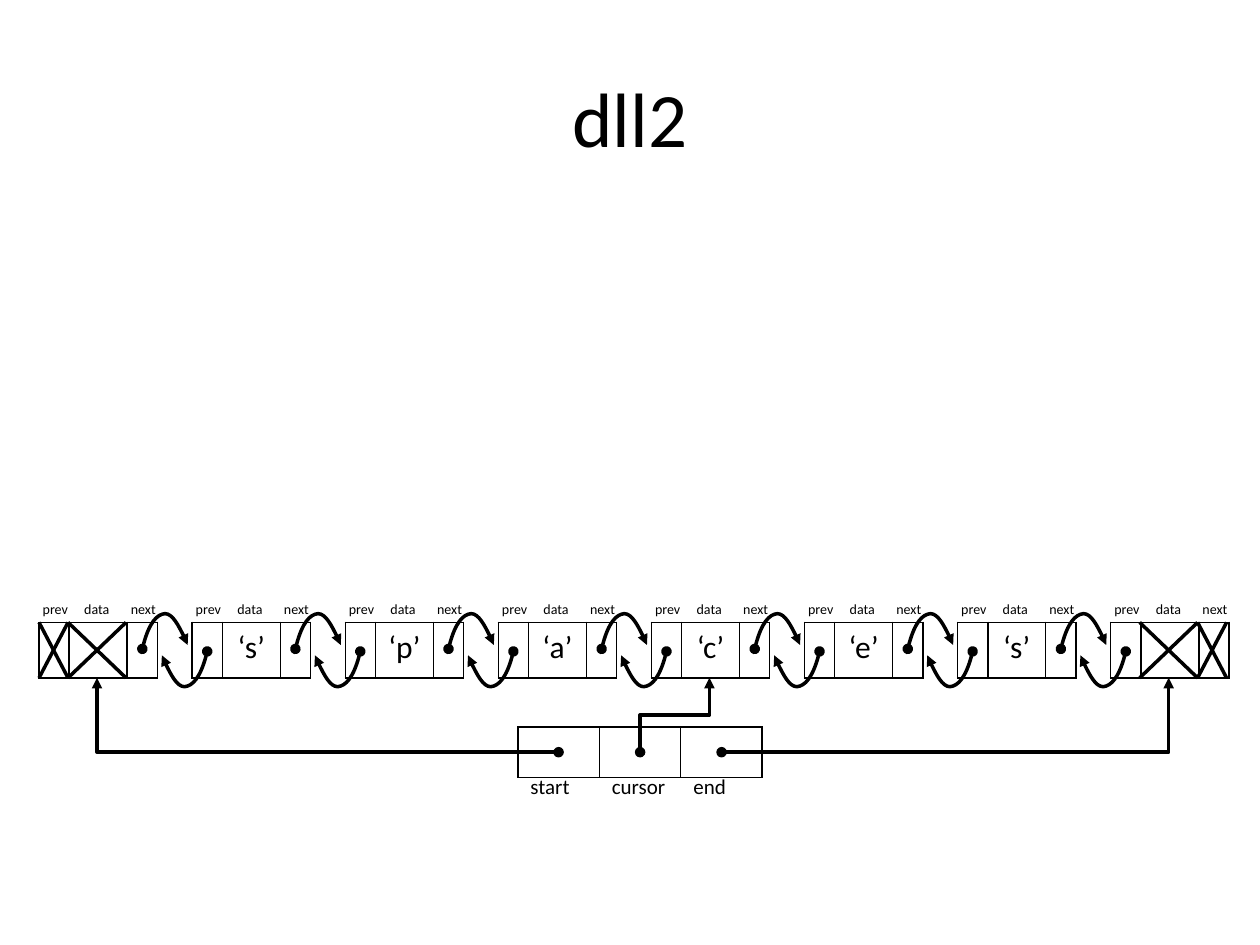
from dataclasses import dataclass

from lxml import etree
from pptx import Presentation
from pptx.dml.color import RGBColor
from pptx.enum.shapes import MSO_CONNECTOR
from pptx.enum.text import MSO_ANCHOR, MSO_AUTO_SIZE, PP_ALIGN
from pptx.oxml import parse_xml
from pptx.oxml.ns import qn
from pptx.util import Inches, Pt

STRAIGHT, ELBOW = MSO_CONNECTOR.STRAIGHT, MSO_CONNECTOR.ELBOW
CENTER, MIDDLE = PP_ALIGN.CENTER, MSO_ANCHOR.MIDDLE
GROW = MSO_AUTO_SIZE.SHAPE_TO_FIT_TEXT

COLORS = {"ink": "000000", "paper": "FFFFFF"}
FONT = "Calibri"
PAGE_WIDTH, PAGE_HEIGHT = 10, 7.5
DRAWING_NS = "http://schemas.openxmlformats.org/drawingml/2006/main"
PLAIN_TABLE = "{2D5ABB26-0587-4C30-8999-92F81FD0307C}"

NODE_VALUES = ["", "‘s’", "‘p’", "‘a’", "‘c’", "‘e’", "‘s’", ""]
NODE_PITCH = 1.215
NODE_COLUMNS = [0.23, 0.46, 0.23]
CROSSED_CELLS = {0: [0, 1], len(NODE_VALUES) - 1: [1, 2]}
FIELD_OFFSETS = {"prev": -0.07, "data": 0.26, "next": 0.63}
POINTER_TARGETS = {"start": 0, "cursor": 4, "end": 7}
# Start point and two cubic segments, as shares of the arc's box
ARC_SHARES = [(0, 1), (0.13, 0.29), (0.32, 0.02), (0.5, 0),
              (0.67, 0), (0.93, 0.64), (1, 0.89)]


@dataclass
class Box:
    left: float
    top: float
    width: float
    height: float

    @property
    def bottom(self):
        return self.top + self.height

    @property
    def center(self):
        return self.left + self.width / 2, self.top + self.height / 2

    def inches(self):
        return [Inches(n) for n in (self.left, self.top, self.width, self.height)]

    def columns(self, widths):
        return [Box(self.left + sum(widths[:i]), self.top, width, self.height)
                for i, width in enumerate(widths)]


def color(name):
    return RGBColor.from_string(COLORS[name])


def write(frame, text, size, align=None):
    para = frame.paragraphs[0]
    if align is not None:
        para.alignment = align
    span = para.add_run()
    span.text = text
    span.font.size = Pt(size)
    span.font.name = FONT
    span.font.color.rgb = color("ink")


def add_text(page, box, text, size, align=None, anchor=None, wrap=True):
    frame = page.shapes.add_textbox(*box.inches()).text_frame
    frame.word_wrap = wrap
    if anchor is not None:
        frame.vertical_anchor = anchor
    if not wrap:
        frame.auto_size = GROW
    write(frame, text, size, align)


def add_drawing(parent, tag, **attributes):
    return etree.SubElement(parent, qn(f"a:{tag}"), **attributes)


def add_cell_borders(cell):
    properties = cell._tc.get_or_add_tcPr()
    for side in ("lnL", "lnR", "lnT", "lnB"):
        edge = add_drawing(properties, side, w=str(Pt(1)))
        fill = add_drawing(edge, "solidFill")
        add_drawing(fill, "srgbClr", val=COLORS["ink"])


def add_row(page, box, widths, texts, size, align=None, boxed=True):
    """One-row table, with or without black borders on white cells."""
    table = page.shapes.add_table(1, len(widths), *box.inches()).table
    table.first_row = table.horz_banding = False
    table._tbl.tblPr.find(qn("a:tableStyleId")).text = PLAIN_TABLE
    table.rows[0].height = Inches(box.height)
    for i, (width, text) in enumerate(zip(widths, texts)):
        table.columns[i].width = Inches(width)
        cell = table.cell(0, i)
        if boxed:
            add_cell_borders(cell)
            cell.fill.solid()
            cell.fill.fore_color.rgb = color("paper")
        else:
            cell.fill.background()
        if text:
            write(cell.text_frame, text, size, align)


def style_line(shape, arrow):
    shape.line.color.rgb = color("ink")
    shape.line.width = Pt(2)
    properties = shape.element.spPr
    if arrow:
        line = properties.find(qn("a:ln"))
        add_drawing(line, "headEnd", type="oval")
        add_drawing(line, "tailEnd", type="triangle")
    add_drawing(properties, "effectLst")


def add_line(page, start, end, kind=STRAIGHT, arrow=False):
    ends = [Inches(n) for n in (*start, *end)]
    line = page.shapes.add_connector(kind, *ends)
    style_line(line, arrow)
    return line


def add_cross(page, box):
    right = box.left + box.width
    add_line(page, (box.left, box.bottom), (right, box.top))
    add_line(page, (right, box.bottom), (box.left, box.top))


def add_arc(page, box, backward=False):
    """Curved arrow over the box, or turned half round when backward."""
    shares = [(1 - x, 1 - y) if backward else (x, y) for x, y in ARC_SHARES]
    points = [(Inches(box.left + x * box.width), Inches(box.top + y * box.height))
              for x, y in shares]
    builder = page.shapes.build_freeform(*points[0])
    builder.add_line_segments(points[1:], close=False)
    arc = builder.convert_to_shape()
    arc.fill.background()
    steps = list(arc.element.iter(qn("a:lnTo")))
    for first in range(0, len(steps), 3):
        curve = parse_xml(f'<a:cubicBezTo xmlns:a="{DRAWING_NS}"/>')
        steps[first].addprevious(curve)
        for step in steps[first:first + 3]:
            curve.append(step[0])
            step.getparent().remove(step)
    style_line(arc, arrow=True)


def add_node(page, box, index):
    add_row(page, box, NODE_COLUMNS, ["", NODE_VALUES[index], ""], 18, CENTER)
    for field, offset in FIELD_OFFSETS.items():
        label = Box(box.left + offset, box.top - 0.22, 0.41, 0.24)
        add_text(page, label, field, 8, wrap=False)
    if index > 0:
        add_arc(page, Box(box.left - 0.24, box.top + 0.23, 0.36, 0.28), backward=True)
    if index < len(NODE_VALUES) - 1:
        add_arc(page, Box(box.left + 0.82, box.top - 0.07, 0.36, 0.28))
    cells = box.columns(NODE_COLUMNS)
    for column in CROSSED_CELLS.get(index, []):
        add_cross(page, cells[column])


def add_corner_arrow(page, start, end):
    """Arrow that runs sideways, then up."""
    arrow = add_line(page, start, end, ELBOW, arrow=True)
    arrow.element.spPr.find(qn("a:prstGeom")).set("prst", "bentConnector2")


def add_step_arrow(page, start, end):
    """Arrow that runs up, sideways, then up: a level step turned a quarter."""
    (x1, y1), (x2, y2) = start, end
    middle_x, middle_y = (x1 + x2) / 2, (y1 + y2) / 2
    half_width, half_height = abs(y2 - y1) / 2, abs(x2 - x1) / 2
    arrow = add_line(page, (middle_x + half_width, middle_y + half_height),
                     (middle_x - half_width, middle_y - half_height), ELBOW, arrow=True)
    arrow.element.spPr.find(qn("a:xfrm")).set("rot", str(90 * 60000))


def add_pointers(page, box, nodes):
    widths = [box.width / 3] * 3
    add_row(page, box, widths, [""] * 3, 18)
    captions = Box(box.left, box.top + 0.33, box.width, box.height)
    add_row(page, captions, widths, list(POINTER_TARGETS), 12, boxed=False)
    for cell, (name, target) in zip(box.columns(widths), POINTER_TARGETS.items()):
        node = nodes[target]
        draw = add_step_arrow if name == "cursor" else add_corner_arrow
        draw(page, cell.center, (node.center[0], node.bottom))


def main():
    deck = Presentation()
    deck.slide_width, deck.slide_height = Inches(PAGE_WIDTH), Inches(PAGE_HEIGHT)
    page = deck.slides.add_slide(deck.slide_layouts[6])
    title = Box(0.05 * PAGE_WIDTH, 0.04 * PAGE_HEIGHT, 0.9 * PAGE_WIDTH, 1.25)
    add_text(page, title, "dll2", 44, CENTER, MIDDLE)
    nodes = [Box(0.31 + i * NODE_PITCH, 4.94, sum(NODE_COLUMNS), 0.44)
             for i in range(len(NODE_VALUES))]
    for index, node in enumerate(nodes):
        add_node(page, node, index)
    add_pointers(page, Box(4.11, 5.77, 1.94, 0.4), nodes)
    deck.save("out.pptx")


if __name__ == "__main__":
    main()
